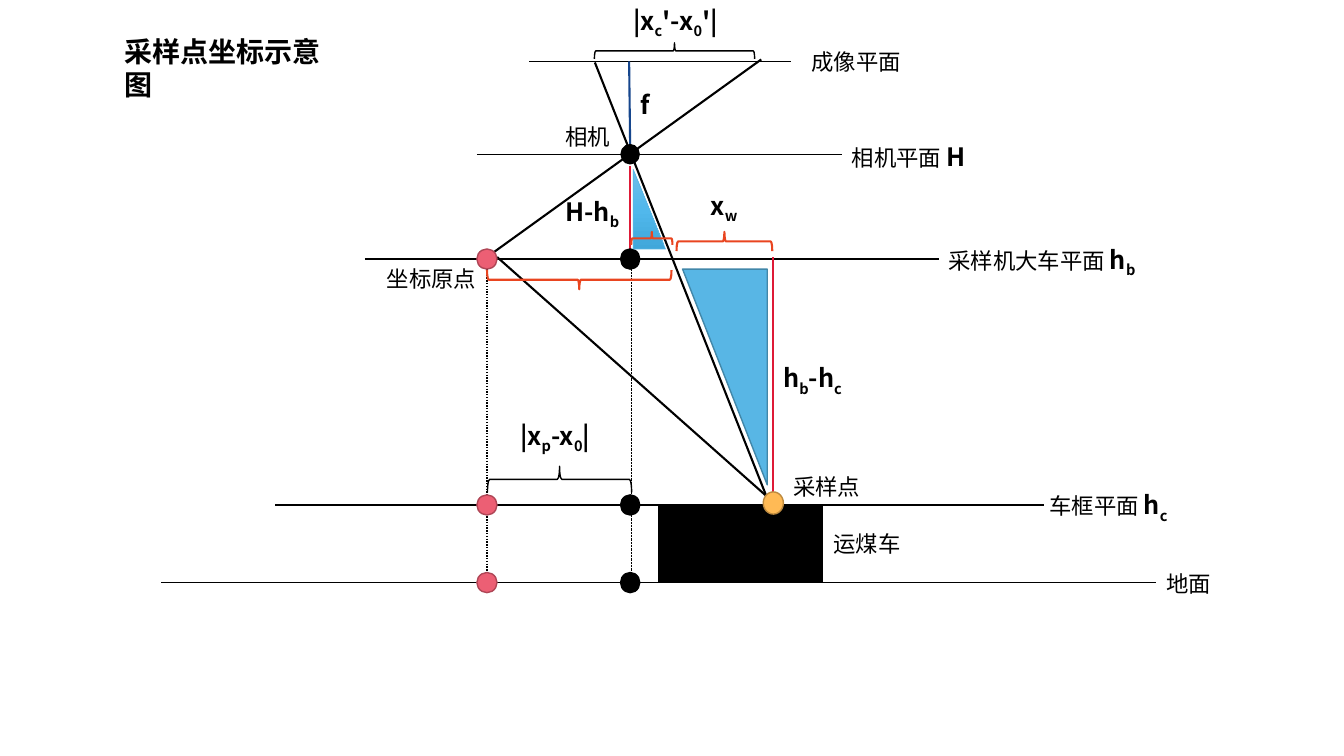
from copy import deepcopy
from dataclasses import dataclass

from pptx import Presentation
from pptx.dml.color import RGBColor
from pptx.enum.dml import MSO_LINE as DASH
from pptx.enum.shapes import MSO_CONNECTOR, MSO_SHAPE as SHAPE
from pptx.enum.text import MSO_ANCHOR, MSO_AUTO_SIZE as FIT, PP_ALIGN as ALIGN
from pptx.oxml.ns import qn
from pptx.util import Inches, Pt


@dataclass(frozen=True)
class Theme:
    ink: str = "000000"
    red: str = "DE1A37"
    navy: str = "16468D"
    orange: str = "E94520"
    pink: tuple = ("EC5F74", "AF4656")
    amber: tuple = ("FFBA55", "BD8A3F")
    black: tuple = ("000000", "000000")
    blue: tuple = ("58B6E5", "4187A9")
    sky: tuple = ("6FBEE9", "51B8EC", "40A7DA")
    text_font: str = "Arial"
    math_font: str = "Noto Sans CJK SC"
    title_size: int = 20
    text_size: int = 16
    math_size: int = 18


T = Theme()
CELL = 0.1  # grid cell in inches

# Columns of the verticals and rows of the planes
ORIGIN, CAMERA, SAMPLE = 48.3, 62.5, 76.7
IMAGE, LENS, TROLLEY, FRAME, GROUND = 6.1, 15.3, 25.7, 50.1, 57.8


def grid(*cells):
    return [Inches(c * CELL) for c in cells]


def apply(target, **values):
    for name, value in values.items():
        setattr(target, name, value)


class Diagram:
    """Draws elements on one slide, in grid cells."""

    def __init__(self, slide, theme):
        self.slide, self.theme = slide, theme

    def font(self, r, name, size, bold=False):
        apply(r.font, name=name, size=Pt(size), bold=bold)
        r.font.color.rgb = RGBColor.from_string(self.theme.ink)

    def stroke(self, line, color, width):
        line.color.rgb = RGBColor.from_string(color)
        line.width = Pt(width)

    def title(self, text, x, y, w, h):
        s = self.slide.shapes.title
        left, top, width, height = grid(x, y, w, h)
        apply(s, left=left, top=top, width=width, height=height)
        apply(s.text_frame, word_wrap=True, auto_size=FIT.NONE,
              vertical_anchor=MSO_ANCHOR.TOP)
        p = s.text_frame.paragraphs[0]
        p.alignment = ALIGN.LEFT
        r = p.add_run()
        r.text = text
        self.font(r, self.theme.text_font, self.theme.title_size, True)

    def label(self, x, y, text="", math="", w=12, font=None,
              size=None, align=ALIGN.LEFT):
        """Plain text, then bold math whose subscripts stand between underscores."""
        t = self.theme
        s = self.slide.shapes.add_textbox(*grid(x, y, w, 4))
        apply(s.text_frame, word_wrap=True, auto_size=FIT.SHAPE_TO_FIT_TEXT)
        p = s.text_frame.paragraphs[0]
        p.alignment = align
        if text:
            r = p.add_run()
            r.text = text
            self.font(r, font or t.text_font, t.text_size)
        for i, part in enumerate(math.split("_")):
            if part:
                r = p.add_run()
                r.text = part
                self.font(r, t.math_font, size or t.math_size, True)
                if i % 2:
                    r._r.get_or_add_rPr().set("baseline", "-25000")

    def line(self, x1, y1, x2, y2, color=None, width=1.0, dash=None):
        s = self.slide.shapes.add_connector(
            MSO_CONNECTOR.STRAIGHT, *grid(x1, y1, x2, y2))
        self.stroke(s.line, color or self.theme.ink, width)
        if dash:
            s.line.dash_style = dash
        props = s._element.spPr
        props.append(props.makeelement(qn("a:effectLst"), {}))

    def shape(self, kind, x, y, w, h, colors, width=1.0, rotation=0):
        s = self.slide.shapes.add_shape(kind, *grid(x, y, w, h))
        s.shadow.inherit = False
        s.rotation = rotation
        fill, edge = colors
        if fill:
            s.fill.solid()
            s.fill.fore_color.rgb = RGBColor.from_string(fill)
        else:
            s.fill.background()
        self.stroke(s.line, edge, width)
        return s

    def dot(self, x, y, colors, w=2.0, h=2.0):
        self.shape(SHAPE.OVAL, x - w / 2, y - h / 2, w, h, colors)

    def brace(self, x1, x2, y, h, color, width=1.0, rotation=270):
        """Horizontal brace over columns x1 to x2, its box starting at row y."""
        span = x2 - x1
        self.shape(SHAPE.RIGHT_BRACE, (x1 + x2 - h) / 2, y + (h - span) / 2,
                   h, span, (None, color), width, rotation)

    def shade(self, s, colors):
        """Even gradient from top to bottom."""
        s.fill.gradient()
        s.fill.gradient_angle = 270
        stops = s._element.xpath(".//a:gsLst")[0]
        while len(stops) < len(colors):
            stops.append(deepcopy(stops[0]))
        for i, (stop, color) in enumerate(zip(s.fill.gradient_stops, colors)):
            stop.color.rgb = RGBColor.from_string(color)
            stop.position = i / (len(colors) - 1)


def main():
    prs = Presentation()
    prs.slide_width, prs.slide_height = Inches(13.33), Inches(7.5)
    d = Diagram(prs.slides.add_slide(prs.slide_layouts[5]), T)
    d.title("采样点坐标示意图", 11.3, 2.9, 23, 8)

    for x1, x2, y in [(52.5, 78.5, IMAGE), (47.3, 83.5, LENS),
                      (36.2, 93.1, TROLLEY), (27.3, 103.5, FRAME),
                      (16, 114.7, GROUND)]:
        d.line(x1, y, x2, y)
    d.shape(SHAPE.RECTANGLE, 65.3, FRAME, 16.3, GROUND - FRAME, T.black)

    for sight in [(49, 25, 75.5, 5.9), (76, 49.2, 59, 6.2),
                  (49.3, 25.5, 76, 49.2)]:
        d.line(*sight, width=1.5)
    d.line(ORIGIN, 26.7, ORIGIN, 57.5, dash=DASH.ROUND_DOT)
    d.line(62.6, TROLLEY, 62.6, GROUND, width=0.5, dash=DASH.ROUND_DOT)
    d.line(SAMPLE, 48.8, SAMPLE, 25.5, T.red, 1.5)
    d.line(CAMERA, 16.5, CAMERA, 25.5, T.red, 1.5)
    d.line(CAMERA, 14.6, 62.4, IMAGE, T.navy, 1.5)

    d.dot(CAMERA, LENS, T.black, 1.8, 1.9)
    for y in (TROLLEY, FRAME, GROUND):
        d.dot(ORIGIN, y, T.pink)
        d.dot(CAMERA, y, T.black, 1.9)
    d.dot(SAMPLE, 49.9, T.amber, 2, 2.2)

    small = d.shape(SHAPE.RIGHT_TRIANGLE, 62.8, 16.8, 3.2, 7.9,
                    (T.blue[0], T.blue[0]), 0.5)
    d.shade(small, T.sky)
    d.shape(SHAPE.RIGHT_TRIANGLE, 67.7, 26.7, 8.4, 21.4, T.blue, rotation=180)

    d.brace(58.95, 74.85, 4.25, 1.6, T.ink)
    d.brace(48.35, 62.65, 46.25, 2.6, T.ink)
    d.brace(67.1, 76.6, 23, 1.9, T.orange, 1.5)
    d.brace(62.6, 66.7, 23, 1.3, T.orange, 1.5)
    d.brace(48.3, 66.6, 26.8, 1.9, T.orange, 1.5, rotation=90)

    d.label(79.5, 4.3, "成像平面")
    d.label(83.5, 13.5, "相机平面 ", "H", 15.8)
    d.label(93.1, 23.7, "采样机大车平面 ", "h_b", 22.4)
    d.label(103.1, 48.1, "车框平面 ", "h_c", 16.2)
    d.label(114.7, 56.1, "地面")
    d.label(55.1, 11.7, "相机")
    d.label(37.4, 25.8, "坐标原点")
    d.label(77.7, 46.4, "采样点")
    d.label(81.7, 52.1, "运煤车", font=T.math_font)
    d.label(62.5, 8.4, math="f")
    d.label(61, 0, math="|x_c_'-x_0_'|", align=ALIGN.CENTER)
    d.label(55.1, 19, math="H-h_b")
    d.label(76.7, 35.5, math="h_b_-h_c")
    d.label(50.6, 41.2, math="|x_p_-x_0_|")
    d.label(69.5, 18.4, math="x_w")
    prs.save("out.pptx")


if __name__ == "__main__":
    main()
